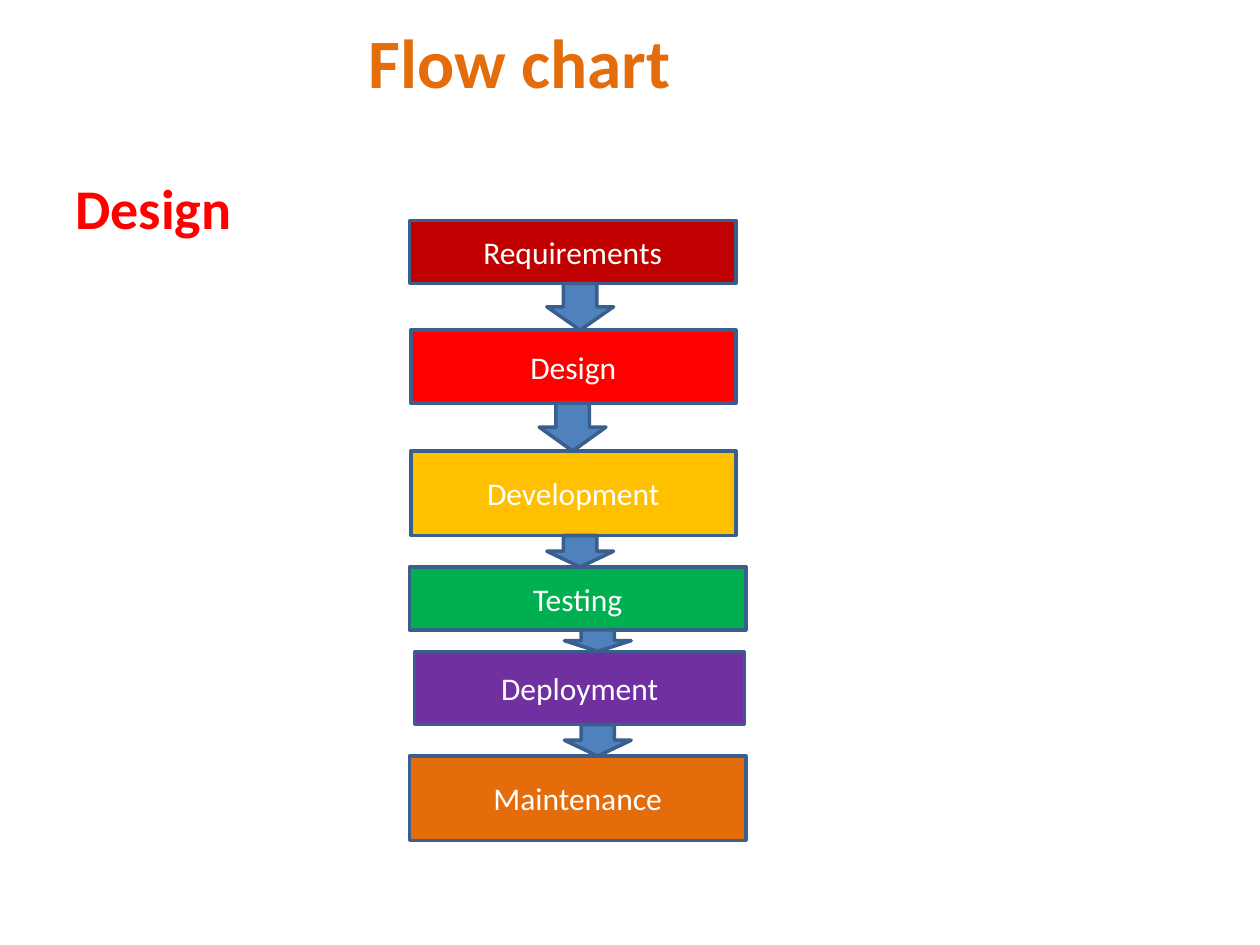
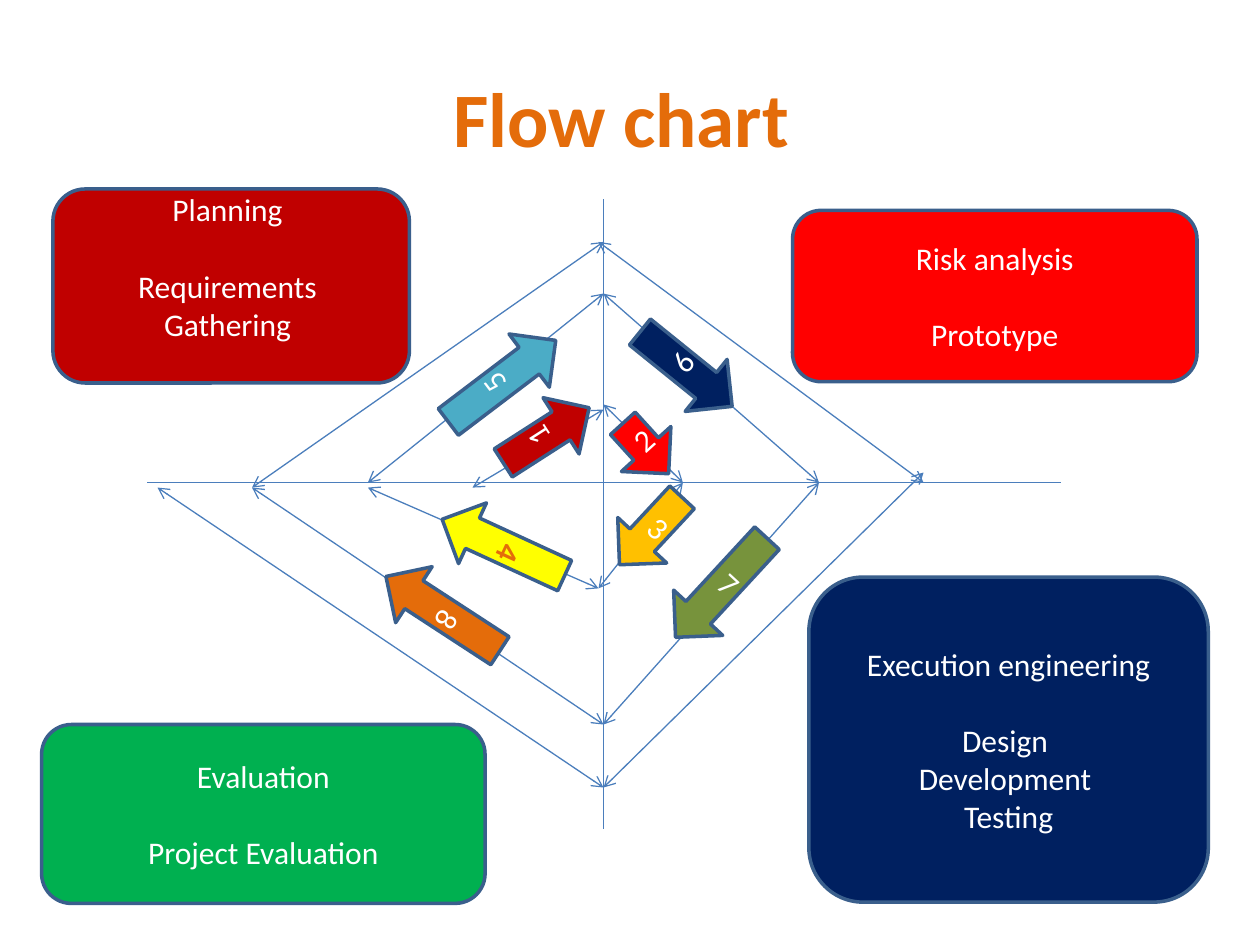
from dataclasses import dataclass
from typing import Optional

from lxml import etree
from pptx import Presentation
from pptx.dml.color import RGBColor
from pptx.enum.shapes import MSO_CONNECTOR as CONN, MSO_SHAPE as SHAPE
from pptx.enum.text import MSO_ANCHOR as ANCHOR, MSO_AUTO_SIZE as FIT, PP_ALIGN as ALIGN
from pptx.oxml.ns import qn
from pptx.util import Inches, Pt

FONT = "Calibri"
WHITE = "FFFFFF"
ORANGE = "E46C0A"
CRIMSON = "C00000"
RED = "FF0000"
AMBER = "FFC000"
GREEN = "00B050"
NAVY = "002060"
ARROW_BLUE = "4F81BD"
OUTLINE = "3A5F8C"
LINE_BLUE = "4B7EBC"
ARROW_W = 0.53
BLANK_LINE = 22


@dataclass
class Box:
    left: float
    top: float
    width: float
    height: float

    @property
    def bottom(self) -> float:
        return self.top + self.height

    def lengths(self) -> list:
        return [Inches(v) for v in (self.left, self.top, self.width, self.height)]


@dataclass
class Step:
    label: str
    box: Box
    fill: str
    arrow_left: Optional[float] = None


@dataclass
class TurnArrow:
    left: float
    top: float
    length: float
    rotation: float
    fill: str
    color: str = WHITE
    bold: bool = False


@dataclass
class Quadrant:
    box: Box
    fill: str
    heading: str
    items: list
    bottom_inset: float = 0.05


STEPS = [
    Step("Requirements", Box(3.25, 1.75, 2.59, 0.5), CRIMSON, 4.34),
    Step("Design", Box(3.26, 2.62, 2.58, 0.58), RED, 4.28),
    Step("Development", Box(3.26, 3.58, 2.58, 0.67), AMBER, 4.34),
    Step("Testing", Box(3.25, 4.5, 2.67, 0.5), GREEN, 4.48),
    Step("Deployment", Box(3.29, 5.17, 2.62, 0.58), "7030A0", 4.48),
    Step("Maintenance", Box(3.25, 6, 2.67, 0.67), ORANGE),
]

AXES = [
    ((4.79, 1.58), (4.79, 6.58)),
    ((1.17, 3.83), (8.42, 3.83)),
]

SPIRAL = [
    [(3.75, 3.87), (4.79, 3.25)],
    [(4.79, 3.21), (5.42, 3.83), (4.75, 4.67), (2.92, 3.87)],
    [(2.92, 3.83), (4.79, 2.33), (6.5, 3.83), (4.79, 5.75), (2, 3.87), (4.79, 1.92)],
    [(4.75, 1.92), (7.33, 3.83)],
    [(7.33, 3.75), (4.79, 6.25), (1.25, 3.87)],
]

TURN_ARROWS = [
    TurnArrow(4.07, 3.05, 0.81, 237.3, CRIMSON),
    TurnArrow(4.86, 3.29, 0.54, 317.7, RED),
    TurnArrow(4.9, 3.85, 0.73, 42.9, AMBER),
    TurnArrow(3.73, 3.81, 1.07, 114.7, "FFFF00", ORANGE, True),
    TurnArrow(3.72, 2.49, 1.07, 232.8, "4BACC6"),
    TurnArrow(5.18, 2.46, 0.94, 308.9, NAVY),
    TurnArrow(5.46, 4.13, 1.07, 42.7, "77933C"),
    TurnArrow(3.25, 4.33, 1.08, 123.1, ORANGE),
]

QUADRANTS = [
    Quadrant(Box(0.42, 1.5, 2.83, 1.54), CRIMSON, "Planning ",
             ["Requirements ", "Gathering "], 0.36),
    Quadrant(Box(6.29, 1.67, 3.21, 1.36), RED, "Risk analysis", ["Prototype"]),
    Quadrant(Box(6.42, 4.58, 3.17, 2.58), NAVY, "Execution engineering",
             ["Design ", "Development ", "Testing"]),
    Quadrant(Box(0.33, 5.75, 3.52, 1.42), GREEN, "Evaluation", ["Project Evaluation"]),
]


def rgb(value: str) -> RGBColor:
    return RGBColor.from_string(value)


def write(p, text: str, size: float = 18, color: str = WHITE, bold: bool = False,
          align=ALIGN.CENTER, before: float = 0) -> None:
    p.alignment = align
    p.space_before = Pt(before)
    r = p.add_run()
    r.text = text
    r.font.name = FONT
    r.font.size = Pt(size)
    r.font.bold = bold
    r.font.color.rgb = rgb(color)


def add_titled_slide(prs, title: str, box: Box, size: float):
    slide = prs.slides.add_slide(prs.slide_layouts[5])
    sp = slide.shapes.title
    sp.left, sp.top, sp.width, sp.height = box.lengths()
    tf = sp.text_frame
    tf.auto_size = FIT.NONE
    tf.vertical_anchor = ANCHOR.MIDDLE
    write(tf.paragraphs[0], title, size=size, color=ORANGE, bold=True)
    return slide


def add_filled(slide, kind, box: Box, fill: str):
    sp = slide.shapes.add_shape(kind, *box.lengths())
    sp.shadow.inherit = False
    sp.fill.solid()
    sp.fill.fore_color.rgb = rgb(fill)
    sp.line.color.rgb = rgb(OUTLINE)
    sp.line.width = Pt(2)
    sp.text_frame.word_wrap = True
    sp.text_frame.vertical_anchor = ANCHOR.MIDDLE
    return sp


def add_line(slide, start: tuple, end: tuple, arrows: bool = False) -> None:
    ends = [Inches(v) for v in (*start, *end)]
    line = slide.shapes.add_connector(CONN.STRAIGHT, *ends)
    line.line.color.rgb = rgb(LINE_BLUE)
    line.line.width = Pt(0.75)
    if arrows:
        ln = line.line._get_or_add_ln()
        for tag in ("a:headEnd", "a:tailEnd"):
            etree.SubElement(ln, qn(tag), type="arrow")
    etree.SubElement(line._element.spPr, qn("a:effectLst"))


def build_waterfall(prs) -> None:
    slide = add_titled_slide(prs, "Flow chart", Box(0.5, 0.3, 7.25, 0.37), 39.6)
    tb = slide.shapes.add_textbox(*Box(0.5, 1.33, 9, 5.37).lengths())
    tb.text_frame.word_wrap = True
    write(tb.text_frame.paragraphs[0], "Design", size=32, color=RED, bold=True,
          align=ALIGN.LEFT)
    for step in STEPS:
        sp = add_filled(slide, SHAPE.RECTANGLE, step.box, step.fill)
        write(sp.text_frame.paragraphs[0], step.label)
    for step, following in zip(STEPS, STEPS[1:]):
        gap = following.box.top - step.box.bottom
        add_filled(slide, SHAPE.DOWN_ARROW,
                   Box(step.arrow_left, step.box.bottom, ARROW_W, gap), ARROW_BLUE)


def build_spiral(prs) -> None:
    slide = add_titled_slide(prs, "Flow chart ", Box(0.5, 0.3, 9, 1.25), 44)
    for start, end in AXES:
        add_line(slide, start, end)
    for points in SPIRAL:
        for start, end in zip(points, points[1:]):
            add_line(slide, start, end, arrows=True)
    for number, arrow in enumerate(TURN_ARROWS, 1):
        sp = add_filled(slide, SHAPE.DOWN_ARROW,
                        Box(arrow.left, arrow.top, ARROW_W, arrow.length), arrow.fill)
        sp.rotation = arrow.rotation
        write(sp.text_frame.paragraphs[0], str(number), color=arrow.color, bold=arrow.bold)
    for quadrant in QUADRANTS:
        sp = add_filled(slide, SHAPE.ROUNDED_RECTANGLE, quadrant.box, quadrant.fill)
        tf = sp.text_frame
        tf.margin_bottom = Inches(quadrant.bottom_inset)
        write(tf.paragraphs[0], quadrant.heading)
        for i, item in enumerate(quadrant.items):
            write(tf.add_paragraph(), item, before=0 if i else BLANK_LINE)


def main() -> None:
    prs = Presentation()
    prs.slide_width = Inches(10)
    prs.slide_height = Inches(7.5)
    build_waterfall(prs)
    build_spiral(prs)
    prs.save("out.pptx")


if __name__ == "__main__":
    main()
